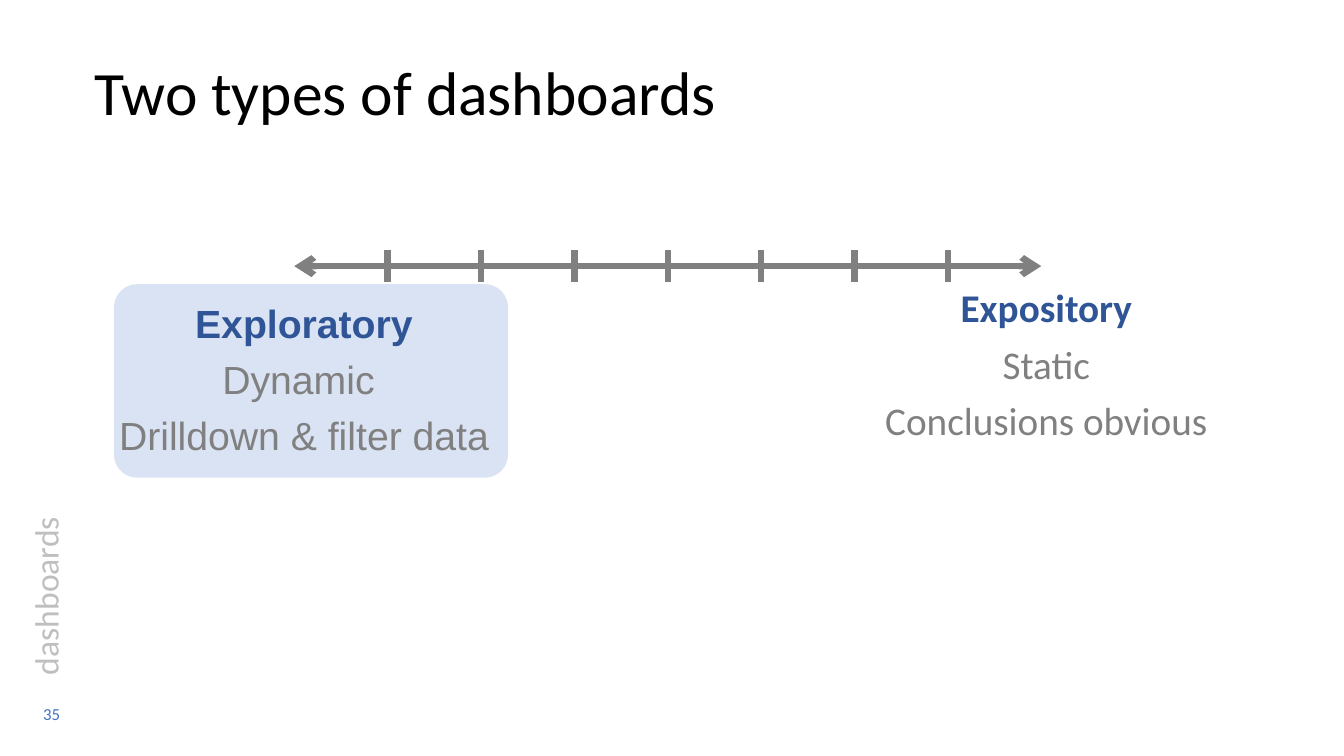
"""Builds a slide that contrasts two types of dashboards along a scale."""
from lxml import etree
from pptx import Presentation
from pptx.dml.color import RGBColor
from pptx.enum.shapes import MSO_CONNECTOR, MSO_SHAPE
from pptx.enum.text import MSO_ANCHOR as ANCHOR, PP_ALIGN as ALIGN
from pptx.oxml.ns import qn
from pptx.util import Pt

COLORS = {
    "title": "000000",
    "heading": "2F5597",
    "grey": "808080",
    "light": "BFBFBF",
    "panel": "DAE3F3",
    "number": "4472C4",
}


def write(sp, lines, size, colors, font="Calibri", align=ALIGN.LEFT, anchor=ANCHOR.TOP):
    tf = sp.text_frame
    tf.word_wrap = True
    tf.vertical_anchor = anchor
    tf.text = "\n".join(lines)
    for i, (p, color) in enumerate(zip(tf.paragraphs, colors)):
        p.alignment = align
        p.line_spacing = 0.9
        p.space_before = Pt(10 if i else 0)
        for r in p.runs:
            r.font.name = font
            r.font.size = Pt(size)
            r.font.bold = color == "heading"
            r.font.color.rgb = RGBColor.from_string(COLORS[color])


def add_line(s, x1, y1, x2, y2):
    line = s.shapes.add_connector(MSO_CONNECTOR.STRAIGHT, Pt(x1), Pt(y1), Pt(x2), Pt(y2))
    line.line.width = Pt(4.5)
    line.line.color.rgb = RGBColor.from_string(COLORS["grey"])
    etree.SubElement(line._element.spPr, qn("a:effectLst"))
    return line


prs = Presentation()
prs.slide_width, prs.slide_height = Pt(960), Pt(540)
s = prs.slides.add_slide(prs.slide_layouts[5])

title = s.shapes.title
title.left, title.top, title.width, title.height = Pt(60), Pt(28.8), Pt(834.5), Pt(79.2)
write(title, ["Two types of dashboards"], 44, ["title"], anchor=ANCHOR.MIDDLE)

number = s.shapes.add_textbox(Pt(23.8), Pt(496), Pt(36), Pt(28.8))
write(number, ["35"], 12, ["number"], anchor=ANCHOR.MIDDLE)

panel = s.shapes.add_shape(MSO_SHAPE.ROUNDED_RECTANGLE, Pt(81.4), Pt(203), Pt(281.5), Pt(138.2))
panel.adjustments[0] = 0.121
panel.shadow.inherit = False
panel.fill.solid()
panel.fill.fore_color.rgb = RGBColor.from_string(COLORS["panel"])
panel.line.fill.background()

types = [
    (72, 213.8, 290.2, 151.2, "Arial", ["Exploratory", "Dynamic ", "Drilldown & filter data"]),
    (601.2, 203, 292.3, 126.7, "Calibri", ["Expository", "Static", "Conclusions obvious"]),
]
for x, y, w, h, font, lines in types:
    box = s.shapes.add_textbox(Pt(x), Pt(y), Pt(w), Pt(h))
    write(box, lines, 28, ["heading", "grey", "grey"], font, ALIGN.CENTER)

section = s.shapes.add_textbox(Pt(-97.2), Pt(338.4), Pt(265.7), Pt(36))
section.rotation = 270
write(section, ["dashboards"], 24, ["light"])

left, right, axis_y, steps = 210.2, 743.8, 190.1, 8
axis = add_line(s, left, axis_y, right, axis_y)
for end in ("a:headEnd", "a:tailEnd"):
    etree.SubElement(axis.line._get_or_add_ln(), qn(end), type="arrow")

for i in range(1, steps):
    x = left + i * (right - left) / steps
    add_line(s, x, axis_y - 11.5, x, axis_y + 11.5)

prs.save("out.pptx")
